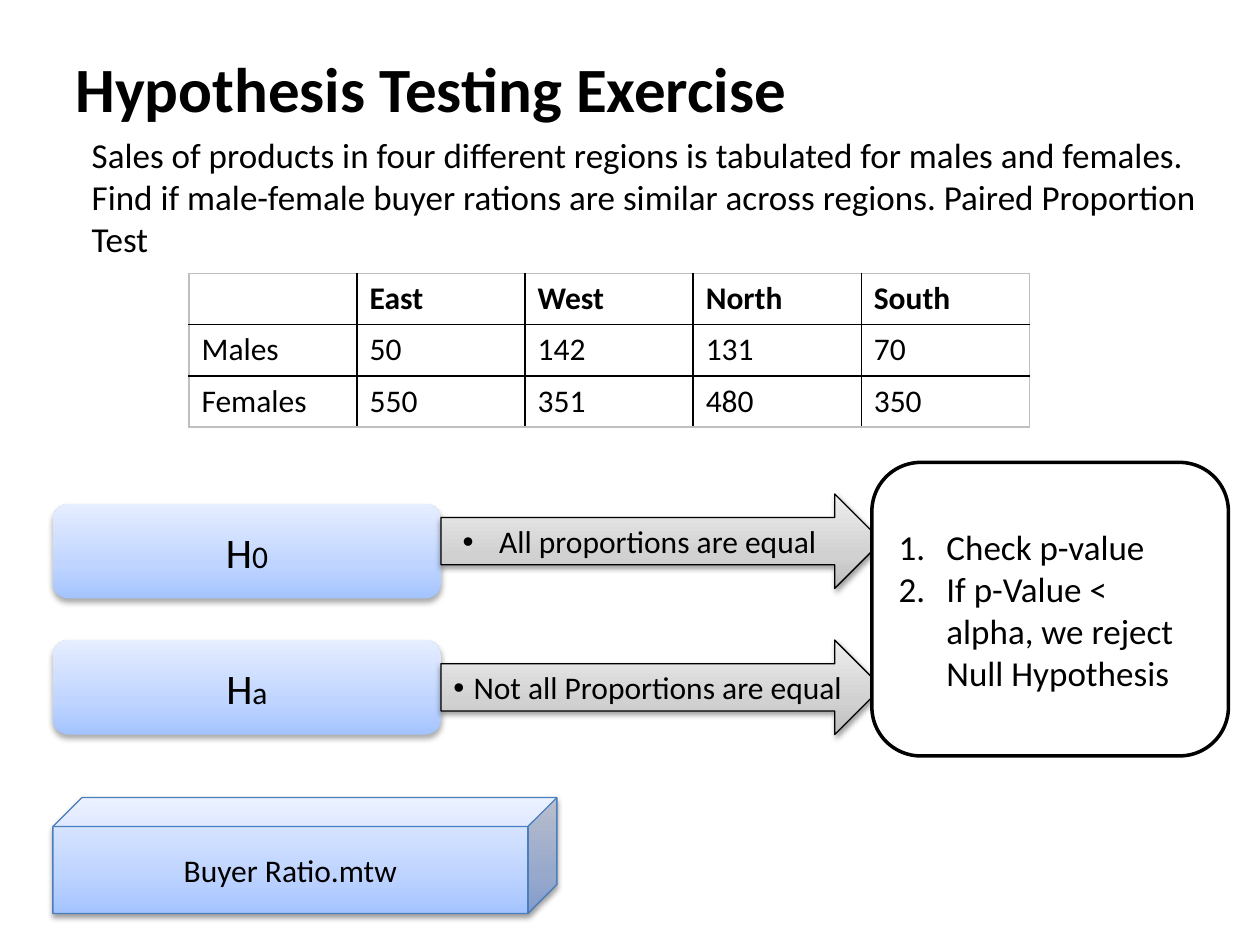
from dataclasses import dataclass

from lxml import etree
from pptx import Presentation
from pptx.dml.color import RGBColor
from pptx.enum.shapes import MSO_SHAPE
from pptx.enum.text import MSO_ANCHOR, PP_ALIGN
from pptx.oxml.ns import qn
from pptx.util import Inches, Pt

ROUNDED = MSO_SHAPE.ROUNDED_RECTANGLE
ARROW = MSO_SHAPE.RIGHT_ARROW
CUBE = MSO_SHAPE.CUBE
MIDDLE, TOP = MSO_ANCHOR.MIDDLE, MSO_ANCHOR.TOP
LEFT, CENTER = PP_ALIGN.LEFT, PP_ALIGN.CENTER


@dataclass(frozen=True)
class Theme:
    font: str = "Calibri"
    ink: str = "000000"
    paper: str = "FFFFFF"
    table_edge: str = "BFBFBF"
    cube_line: str = "4B7EBC"
    blue: tuple = ((0, "A4C4FF"), (35, "BFD4FF"), (100, "E6EEFF"))
    gray: tuple = ((0, "BDBDBD"), (35, "D1D1D1"), (100, "EEEEEE"))
    # Shadow: opacity percent, blur and distance in points
    soft_shadow: tuple = (32, 3.5, 2.2)
    crisp_shadow: tuple = (38, 3.1, 1.6)
    title: int = 36
    symbol: int = 24
    body: int = 20
    label: int = 18


THEME = Theme()


def color(value):
    return RGBColor.from_string(value)


def add_element(parent, tag, **attributes):
    element = etree.SubElement(parent, qn(tag))
    for name, value in attributes.items():
        element.set(name, str(value))
    return element


def add_run(paragraph, text, size, bold=False):
    run = paragraph.add_run()
    run.text = text
    run.font.name = THEME.font
    run.font.size = Pt(size)
    run.font.bold = bold
    run.font.color.rgb = color(THEME.ink)


def set_bullet(paragraph, margin, hanging, tag, **attributes):
    properties = paragraph._p.get_or_add_pPr()
    properties.set("marL", str(Inches(margin)))
    properties.set("indent", str(-Inches(hanging)))
    add_element(properties, "a:buFont", typeface="Arial" if tag == "a:buChar" else "+mj-lt")
    add_element(properties, tag, **attributes)


def add_text(slide, box, text, size, bold=False, anchor=TOP):
    shape = slide.shapes.add_textbox(*map(Inches, box))
    frame = shape.text_frame
    frame.word_wrap = True
    frame.vertical_anchor = anchor
    add_run(frame.paragraphs[0], text, size, bold)


def fill_gradient(shape, stops):
    shape.fill.gradient()
    shape.fill.gradient_angle = 90
    stop_list = shape._element.spPr.find(".//" + qn("a:gsLst"))
    for stop in list(stop_list):
        stop_list.remove(stop)
    for position, value in stops:
        stop = add_element(stop_list, "a:gs", pos=position * 1000)
        add_element(stop, "a:srgbClr", val=value)


def add_shadow(shape, opacity, blur, distance):
    effects = shape._element.spPr.find(qn("a:effectLst"))
    shadow = add_element(effects, "a:outerShdw", blurRad=Pt(blur), dist=Pt(distance),
                         dir=5400000, rotWithShape=0)
    shade = add_element(shadow, "a:srgbClr", val=THEME.ink)
    add_element(shade, "a:alpha", val=opacity * 1000)


def add_block(slide, kind, box, stops=None, line=None, line_width=0.75, shadow=None):
    """Add a styled shape and return its text frame."""
    shape = slide.shapes.add_shape(kind, *map(Inches, box))
    shape.shadow.inherit = False
    if stops:
        fill_gradient(shape, stops)
    else:
        shape.fill.solid()
        shape.fill.fore_color.rgb = color(THEME.paper)
    if line:
        shape.line.color.rgb = color(line)
        shape.line.width = Pt(line_width)
    else:
        shape.line.fill.background()
    if shadow:
        add_shadow(shape, *shadow)
    frame = shape.text_frame
    frame.word_wrap = True
    frame.vertical_anchor = MIDDLE
    frame.paragraphs[0].alignment = CENTER
    return frame


def set_border(cell, side, value):
    line = add_element(cell._tc.get_or_add_tcPr(), "a:" + side, w=Pt(1))
    add_element(add_element(line, "a:solidFill"), "a:srgbClr", val=value)


def add_sales_table(slide, box, rows):
    row_count, column_count = len(rows), len(rows[0])
    frame = slide.shapes.add_table(row_count, column_count, *map(Inches, box))
    table = frame.table
    table.horz_banding = False
    for row, values in enumerate(rows):
        for column, value in enumerate(values):
            cell = table.cell(row, column)
            outer = {"lnL": column == 0, "lnR": column == column_count - 1,
                     "lnT": row == 0, "lnB": row == row_count - 1}
            for side, is_outer in outer.items():
                set_border(cell, side, THEME.table_edge if is_outer else THEME.ink)
            cell.fill.background()
            if value:
                add_run(cell.text_frame.paragraphs[0], value, THEME.label, row == 0)


def add_hypothesis(slide, box, subscript, statement, arrow_top, hanging):
    left, top, width, height = box
    # Symbol
    symbol_width = 3.08
    frame = add_block(slide, ROUNDED, (left, top, symbol_width, height),
                      THEME.blue, shadow=THEME.soft_shadow)
    add_run(frame.paragraphs[0], "H", THEME.symbol)
    add_run(frame.paragraphs[0], subscript, THEME.label)
    # Statement arrow
    arrow_box = (left + symbol_width, arrow_top, width - symbol_width, height)
    frame = add_block(slide, ARROW, arrow_box, THEME.gray, THEME.ink,
                      shadow=THEME.crisp_shadow)
    set_bullet(frame.paragraphs[0], 0.13, hanging, "a:buChar", char="•")
    add_run(frame.paragraphs[0], statement, THEME.label)


def add_decision(slide, box, steps):
    frame = add_block(slide, ROUNDED, box, line=THEME.ink, line_width=2)
    for index, step in enumerate(steps):
        paragraph = frame.add_paragraph() if index else frame.paragraphs[0]
        paragraph.alignment = LEFT
        set_bullet(paragraph, 0.38, 0.38, "a:buAutoNum", type="arabicPeriod")
        add_run(paragraph, step, THEME.body)


def add_data_file(slide, box, name):
    frame = add_block(slide, CUBE, box, THEME.blue, THEME.cube_line,
                      shadow=THEME.crisp_shadow)
    add_run(frame.paragraphs[0], name, THEME.label)


presentation = Presentation()
presentation.slide_width, presentation.slide_height = Inches(10), Inches(7.5)
slide = presentation.slides.add_slide(presentation.slide_layouts[6])

# Title and task
add_text(slide, (0.5, 0.3, 9, 0.78), "Hypothesis Testing Exercise", THEME.title, True, MIDDLE)
add_text(slide, (0.63, 1.01, 9.2, 1.1),
         "Sales of products in four different regions is tabulated for males and females. "
         "Find if male-female buyer rations are similar across regions. "
         "Paired Proportion Test", THEME.body)

# Sales by region
add_sales_table(slide, (1.5, 2.17, 6.67, 1.22), [
    ("", "East", "West", "North", "South"),
    ("Males", "50", "142", "131", "70"),
    ("Females", "550", "351", "480", "350"),
])

# Hypotheses, decision rule and data file
add_hypothesis(slide, (0.42, 4, 6.58, 0.75), "0", "All proportions are equal", 3.92, 0.29)
add_hypothesis(slide, (0.42, 5.08, 6.58, 0.75), "a", "Not all Proportions are equal", 5.08, 0.16)
add_decision(slide, (6.92, 3.67, 2.83, 2.33),
             ["Check p-value", "If p-Value < alpha, we reject Null Hypothesis"])
add_data_file(slide, (0.42, 6.33, 4, 0.92), "Buyer Ratio.mtw")

presentation.save("out.pptx")
